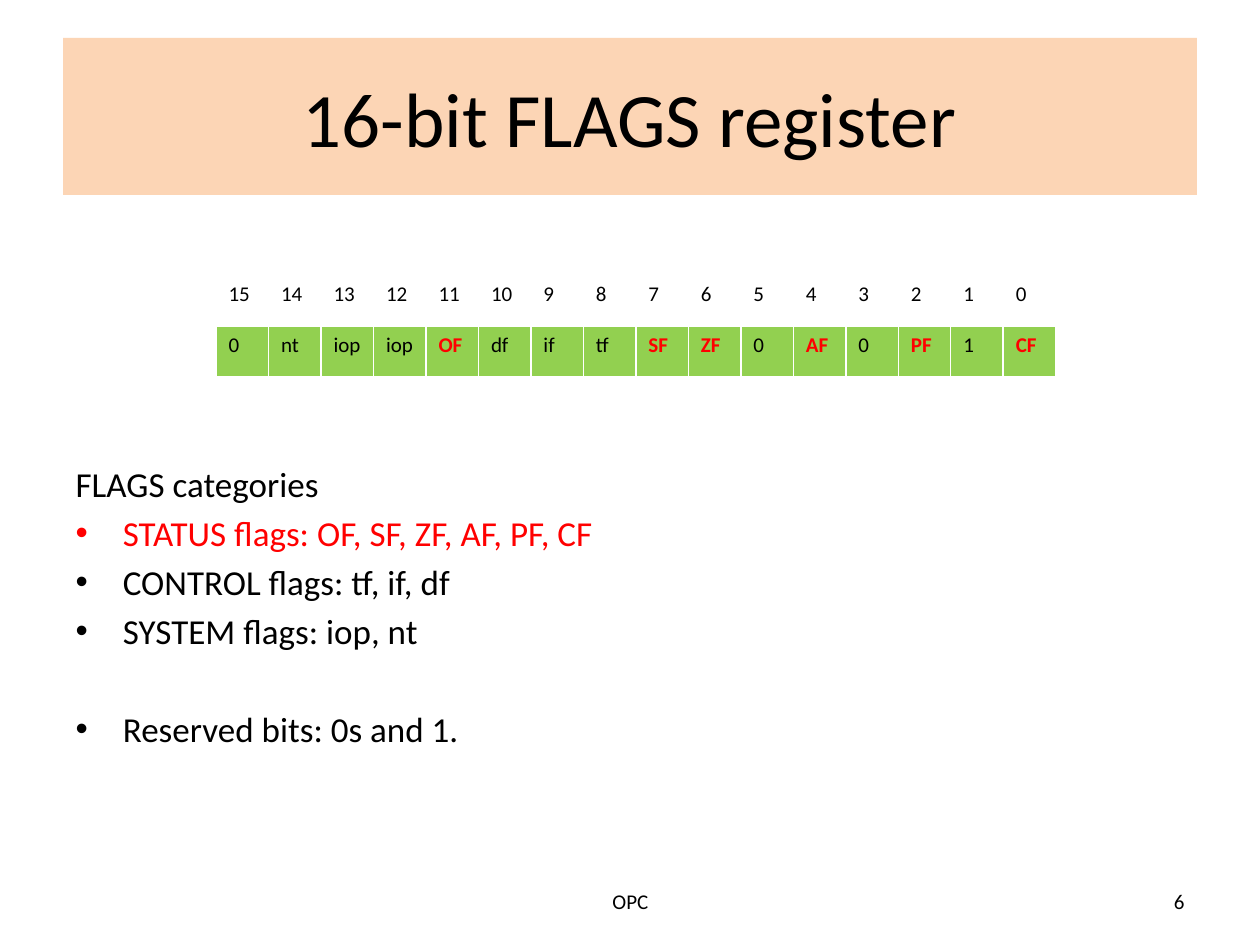
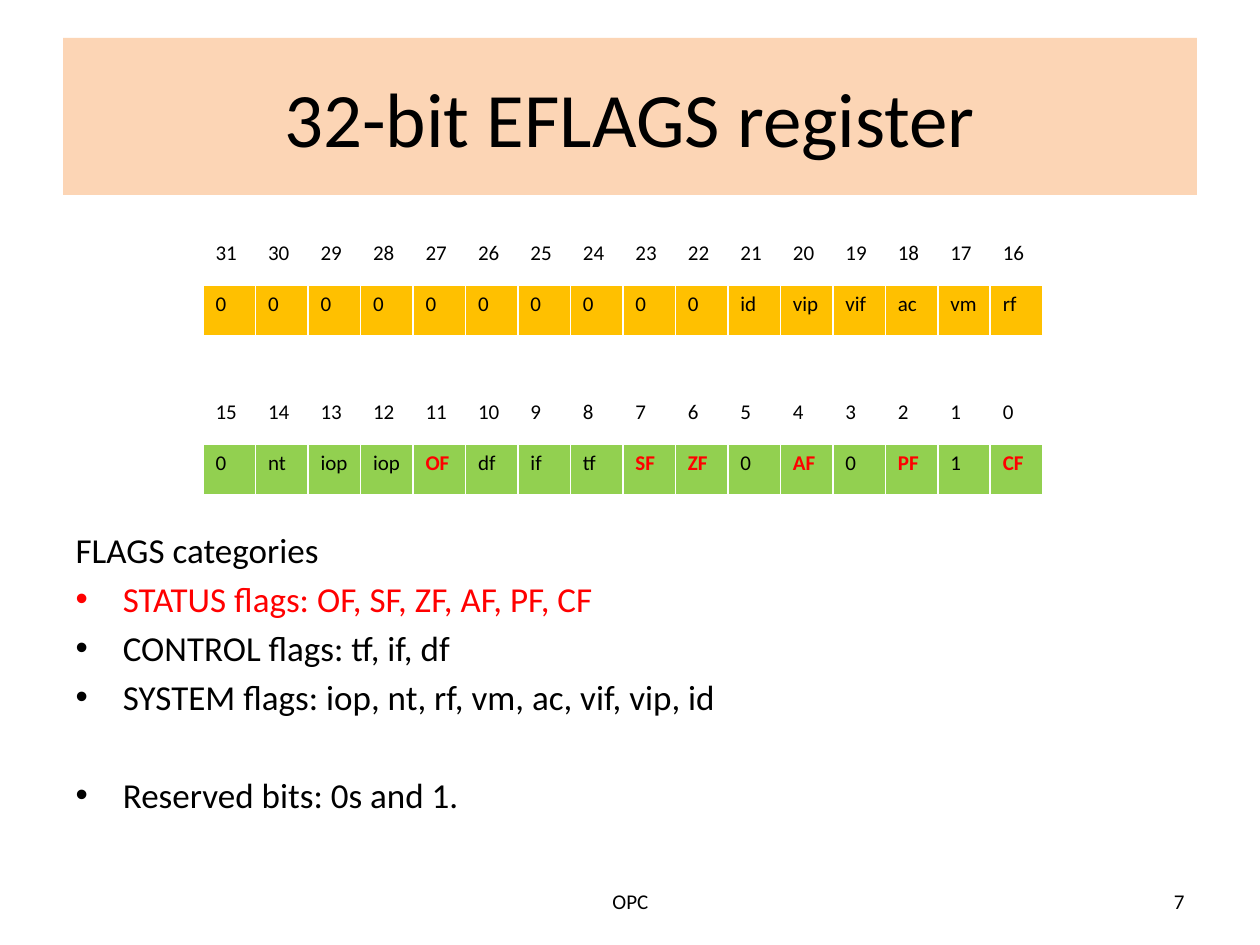
import pptx
import pptx.util
import pptx.dml.color
import pptx.enum.text
import pptx.oxml
import lxml.etree

SCALE = 914400 / 126  # EMU in one pixel
FONT = "Calibri"
HEX = {
    "text": "000000",
    "flag": "FF0000",
    "band": "FCD5B5",
    "paper": "FFFFFF",
    "low": "92D050",
    "high": "FFC000",
}
ALIGN = pptx.enum.text.PP_ALIGN
ANCHOR = pptx.enum.text.MSO_ANCHOR
FRAME = {
    "word_wrap": True,
    "auto_size": pptx.enum.text.MSO_AUTO_SIZE.NONE,
}

# Shared places, in pixels: left, top, width, height
TITLE = (63, 38, 1134, 157)
FOOTER = (431, 876, 399, 50)
NUMBER = (903, 876, 294, 50)
BODY_W, BODY_H = 1134, 348
COL_W, ROW_H = 52.5, 51

# Register contents, from the highest bit to the lowest
STATUS = "OF SF ZF AF PF CF".split()
LOW = "0 nt iop iop OF df if tf SF ZF 0 AF 0 PF 1 CF".split()
HIGH = ["0"] * 10 + "id vip vif ac vm rf".split()


def px(num):
    return pptx.util.Emu(round(num * SCALE))


def rgb(name):
    return pptx.dml.color.RGBColor.from_string(HEX[name])


def apply(obj, values):
    for key, val in values.items():
        setattr(obj, key, val)


def place(shape, box):
    apply(shape, dict(zip(("left", "top", "width", "height"), map(px, box))))


def paint(obj, name):
    obj.fill.solid()
    obj.fill.fore_color.rgb = rgb(name)


def write(para, text, size, color="text", bold=False):
    run = para.add_run()
    run.text = text
    apply(run.font, {"name": FONT, "size": pptx.util.Pt(size), "bold": bold})
    run.font.color.rgb = rgb(color)


def add_title(slide, text):
    shape = slide.shapes.title
    place(shape, TITLE)
    paint(shape, "band")
    frame = shape.text_frame
    apply(frame, FRAME | {"vertical_anchor": ANCHOR.MIDDLE})
    frame.paragraphs[0].alignment = ALIGN.CENTER
    write(frame.paragraphs[0], text, 44)


def add_note(slide, box, text, align):
    frame = slide.shapes.add_textbox(*map(px, box)).text_frame
    apply(frame, FRAME | {"vertical_anchor": ANCHOR.MIDDLE})
    frame.paragraphs[0].alignment = align
    write(frame.paragraphs[0], text, 12)


def add_edges(cell):
    """Draw a thin paper-coloured line on all four sides of a cell."""
    props = cell._tc.get_or_add_tcPr()
    space = pptx.oxml.ns.nsdecls("a")
    for spot, side in enumerate("LRTB"):
        props.insert(spot, pptx.oxml.parse_xml(
            f'<a:ln{side} {space} w="12700"><a:solidFill>'
            f'<a:srgbClr val="{HEX["paper"]}"/></a:solidFill></a:ln{side}>'))


def add_bits(slide, left, top, first, names, color):
    """Add a table of bit numbers, counted down from first, over bit names."""
    count = len(names)
    table = slide.shapes.add_table(
        2, count, px(left), px(top), px(COL_W * count), px(ROW_H * 2)).table
    for col, name in enumerate(names):
        table.columns[col].width = px(COL_W)
        head, cell = table.cell(0, col), table.cell(1, col)
        paint(head, "paper")
        write(head.text_frame.paragraphs[0], str(first - col), 12)
        paint(cell, color)
        add_edges(cell)
        hot = name in STATUS
        write(cell.text_frame.paragraphs[0], name, 12,
              "flag" if hot else "text", hot)
    for row in table.rows:
        row.height = px(ROW_H)


def add_list(slide, top, system):
    """Fill the body placeholder with the flag categories."""
    body = slide.placeholders[1]
    place(body, (TITLE[0], top, BODY_W, BODY_H))
    frame = body.text_frame
    apply(frame, FRAME)

    # Heading without bullet
    head = frame.paragraphs[0]
    props = head._p.get_or_add_pPr()
    for key in ("marL", "indent"):
        props.set(key, "0")
    lxml.etree.SubElement(props, pptx.oxml.ns.qn("a:buNone"))
    write(head, "FLAGS categories", 20)

    # Bulleted categories
    lines = [
        ("STATUS flags: " + ", ".join(STATUS), "flag"),
        ("CONTROL flags: tf, if, df", "text"),
        ("SYSTEM flags: " + system, "text"),
        ("Reserved bits: 0s and 1.", "text"),
    ]
    for text, color in lines:
        para = frame.add_paragraph()
        write(para, text, 20, color)
    para.space_before = pptx.util.Pt(32)  # sets the last line apart


def add_page(deck, title, number):
    slide = deck.slides.add_slide(deck.slide_layouts[1])
    add_title(slide, title)
    add_note(slide, FOOTER, "OPC", ALIGN.CENTER)
    add_note(slide, NUMBER, str(number), ALIGN.RIGHT)
    return slide


def main():
    deck = pptx.Presentation()
    apply(deck, {"slide_width": px(1260), "slide_height": px(945)})

    # 16-bit register
    slide = add_page(deck, "16-bit FLAGS register", 6)
    add_bits(slide, 216, 275, 15, LOW, "low")
    add_list(slide, 456, "iop, nt")

    # 32-bit register
    slide = add_page(deck, "32-bit EFLAGS register", 7)
    add_bits(slide, 203, 393, 15, LOW, "low")
    add_bits(slide, 203, 234, 31, HIGH, "high")
    add_list(slide, 522, "iop, nt, rf, vm, ac, vif, vip, id")

    deck.save("out.pptx")


main()
